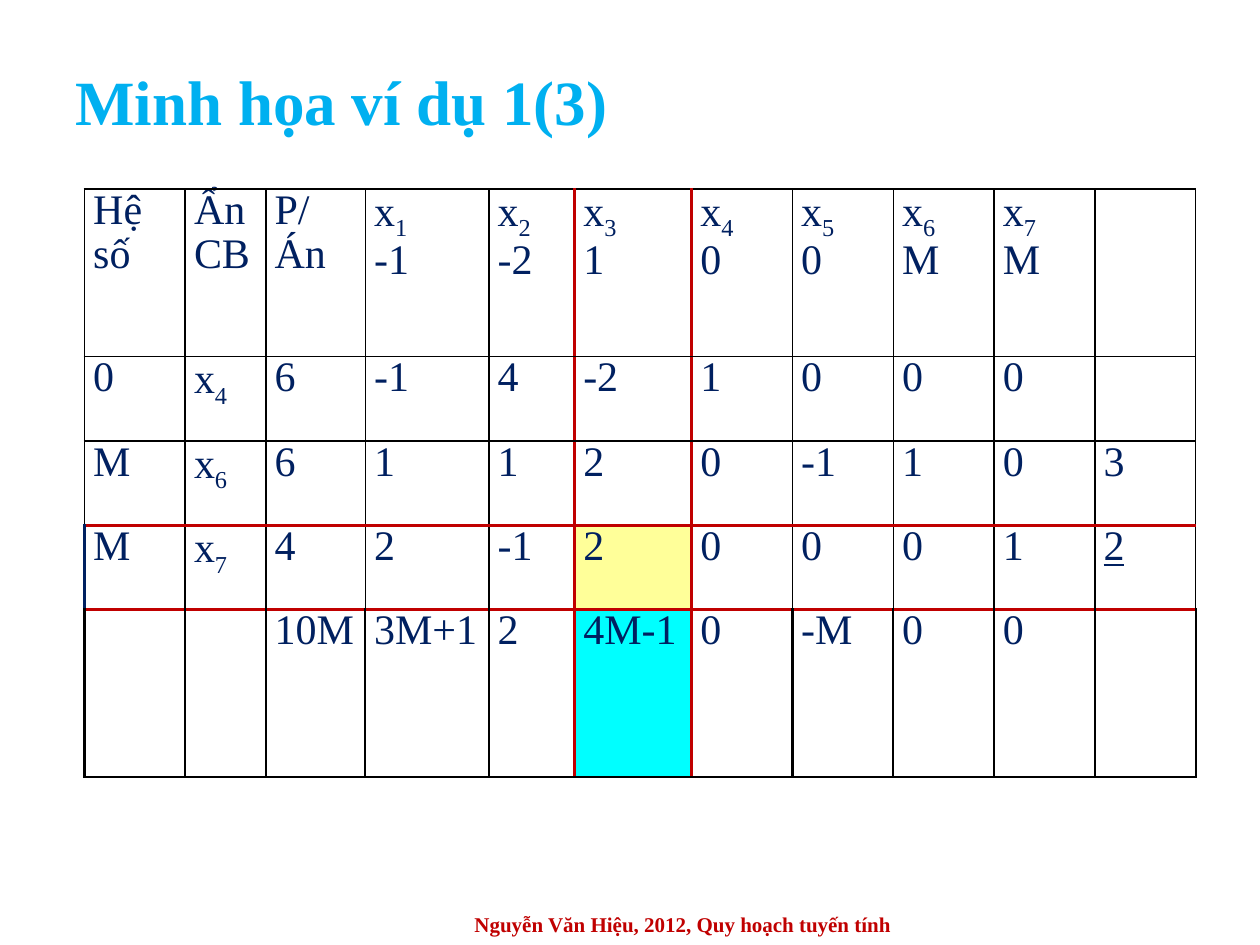
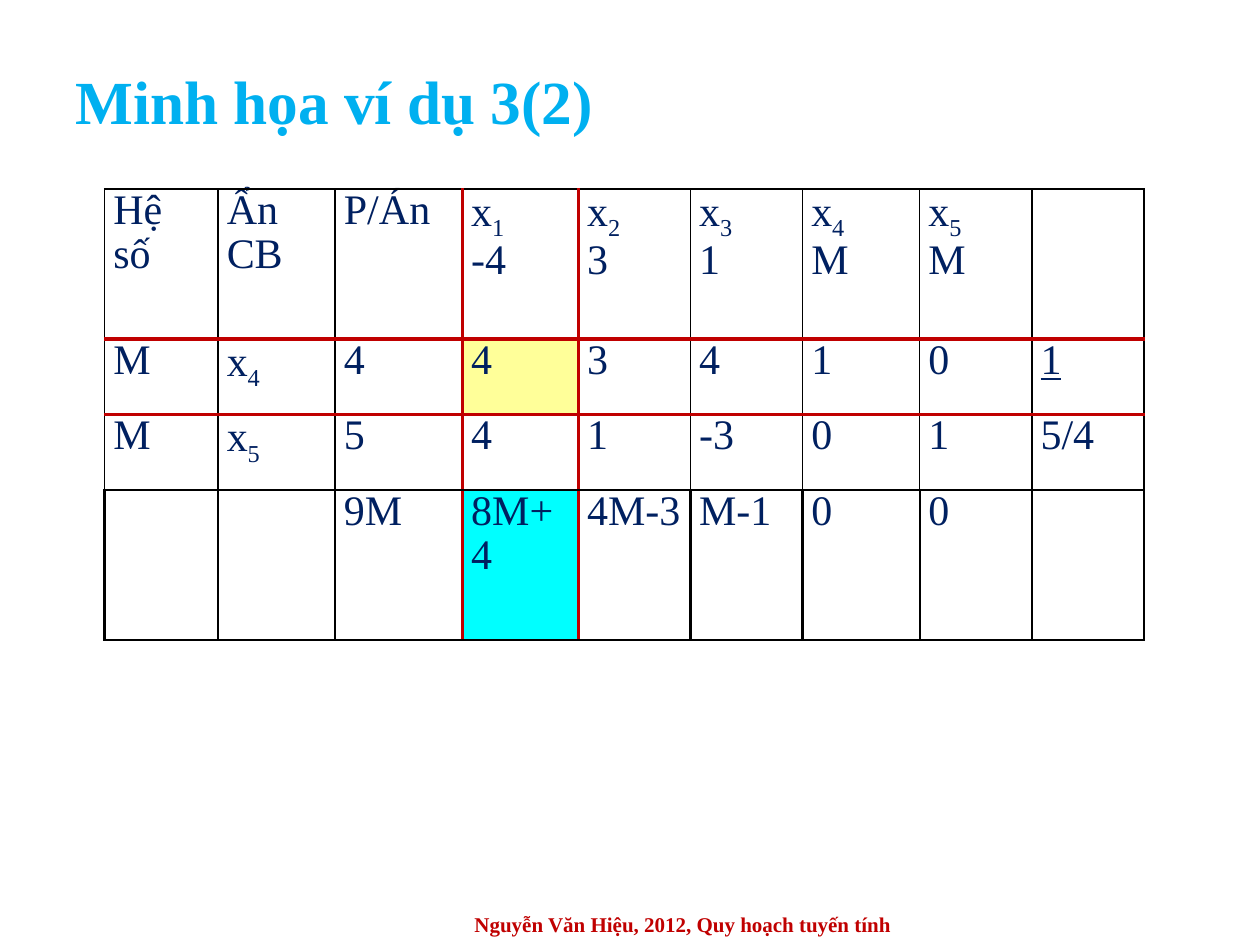
import pptx
import pptx.dml.color
import pptx.enum.text
import pptx.oxml
import pptx.oxml.ns
import pptx.util
from pptx.util import Inches

FONT = "Times New Roman"
TITLE_BLUE, NAVY, RED, BLACK = "00B0F0", "002060", "C00000", "000000"
PIVOT_YELLOW, PIVOT_CYAN = "FFFF99", "00FFFF"
FOOTER = "Nguyễn Văn Hiệu, 2012, Quy hoạch tuyến tính"
ALIGN = pptx.enum.text.PP_ALIGN

# An underscore starts a subscript; a line break starts a paragraph.
tableaus = [
    {
        "title": "Minh họa ví dụ 1(3)", "title_size": 36, "left": 0.67,
        "widths": [0.8, 0.64, 0.79, 0.98, 0.68, 0.93] + [0.8] * 5,
        "heights": [1.33, 0.67, 0.67, 0.67, 1.33],
        "pivot": (3, 5), "pivot_row_left": NAVY,
        "rows": [
            ["Hệ số", "Ẩn CB", "P/Án", "x_1\n-1", "x_2\n-2", "x_3\n1",
             "x_4\n0", "x_5\n0", "x_6\nM", "x_7\nM", ""],
            ["0", "x_4", "6", "-1", "4", "-2", "1", "0", "0", "0", ""],
            ["M", "x_6", "6", "1", "1", "2", "0", "-1", "1", "0", "3"],
            ["M", "x_7", "4", "2", "-1", "2", "0", "0", "0", "1", "2"],
            ["", "", "10M", "3M+1", "2", "4M-1", "0", "-M", "0", "0", ""],
        ],
    },
    {
        "title": "Minh họa ví dụ 3(2)", "title_size": 35, "left": 0.83,
        "widths": [0.9, 0.93, 1.01, 0.92, 0.89, 0.89, 0.93, 0.89, 0.89],
        "heights": [1.19, 0.6, 0.6, 1.19],
        "pivot": (1, 3), "pivot_row_left": BLACK,
        "rows": [
            ["Hệ số", "Ẩn CB", "P/Án", "x_1\n-4", "x_2\n3", "x_3\n1",
             "x_4\nM", "x_5\nM", ""],
            ["M", "x_4", "4", "4", "3", "4", "1", "0", "1"],
            ["M", "x_5", "5", "4", "1", "-3", "0", "1", "5/4"],
            ["", "", "9M", "8M+4", "4M-3", "M-1", "0", "0", ""],
        ],
    },
]


def style_font(font, size, color, bold=False):
    font.name = FONT
    font.size = pptx.util.Pt(size)
    font.bold = bold
    font.color.rgb = pptx.dml.color.RGBColor.from_string(color)


def add_border(cell, tag, color, width):
    """Append one cell edge; call in the order lnL, lnR, lnT, lnB, before the fill."""
    cell._tc.get_or_add_tcPr().append(pptx.oxml.parse_xml(
        f'<a:{tag} {pptx.oxml.ns.nsdecls("a")} w="{pptx.util.Pt(width)}">'
        f'<a:solidFill><a:srgbClr val="{color}"/></a:solidFill></a:{tag}>'))


presentation = pptx.Presentation()
presentation.slide_width = Inches(10)
presentation.slide_height = Inches(7.5)

for tableau in tableaus:
    slide = presentation.slides.add_slide(presentation.slide_layouts[6])

    captions = [
        (tableau["title"], (0.5, 0.42, 9, 0.75), tableau["title_size"], TITLE_BLUE, ALIGN.LEFT),
        (FOOTER, (2.92, 7.17, 5, 0.33), 12, RED, ALIGN.CENTER),
    ]
    for text, box, size, color, alignment in captions:
        text_frame = slide.shapes.add_textbox(*map(Inches, box)).text_frame
        text_frame.word_wrap = True
        text_frame.vertical_anchor = pptx.enum.text.MSO_ANCHOR.MIDDLE
        text_frame.text = text
        paragraph = text_frame.paragraphs[0]
        paragraph.alignment = alignment
        style_font(paragraph.runs[0].font, size, color, bold=True)

    rows, widths, heights = tableau["rows"], tableau["widths"], tableau["heights"]
    pivot_row, pivot_column = tableau["pivot"]
    last_row, last_column = len(rows) - 1, len(widths) - 1
    table = slide.shapes.add_table(
        len(rows), len(widths), Inches(tableau["left"]), Inches(1.5),
        Inches(sum(widths)), Inches(sum(heights))).table
    table.first_row = False
    table.horz_banding = False
    for column, width in zip(table.columns, widths):
        column.width = Inches(width)
    for row, height in zip(table.rows, heights):
        row.height = Inches(height)

    for row_index, row_texts in enumerate(rows):
        for column_index, text in enumerate(row_texts):
            cell = table.cell(row_index, column_index)
            cell.margin_left = cell.margin_right = Inches(0.07)
            cell.margin_top = cell.margin_bottom = 0

            cell.text_frame.text = text
            for paragraph in cell.text_frame.paragraphs:
                base, _, subscript = paragraph.text.partition("_")
                paragraph.text = base
                paragraph.alignment = ALIGN.JUSTIFY
                paragraph.line_spacing = 0.95
                if subscript:
                    run = paragraph.add_run()
                    run.text = subscript
                    run._r.get_or_add_rPr().set("baseline", "-25000")
                for run in paragraph.runs:
                    style_font(run.font, 24, NAVY)
                    if (row_index, column_index) == (pivot_row, last_column):
                        run.font.underline = True

            width = 1.5 if row_index == last_row else 1
            bottom_width = 1.5 if row_index >= last_row - 1 else 1
            edges = [
                ("lnL", column_index - pivot_column in (0, 1), width),
                ("lnR", pivot_column - column_index in (0, 1), width),
                ("lnT", row_index - pivot_row in (0, 1),
                 1.5 if row_index == last_row else 1),
                ("lnB", pivot_row - row_index in (0, 1), bottom_width),
            ]
            for tag, beside_pivot, plain_width in edges:
                if beside_pivot:
                    add_border(cell, tag, RED, 2.25)
                elif (tag, row_index, column_index) == ("lnL", pivot_row, 0) \
                        and tableau["pivot_row_left"] != BLACK:
                    add_border(cell, tag, tableau["pivot_row_left"], 2.25)
                else:
                    add_border(cell, tag, BLACK, plain_width)

            highlights = {(pivot_row, pivot_column): PIVOT_YELLOW,
                          (last_row, pivot_column): PIVOT_CYAN}
            highlight = highlights.get((row_index, column_index))
            if highlight:
                cell.fill.solid()
                cell.fill.fore_color.rgb = pptx.dml.color.RGBColor.from_string(highlight)
            else:
                cell.fill.background()

presentation.save("out.pptx")
